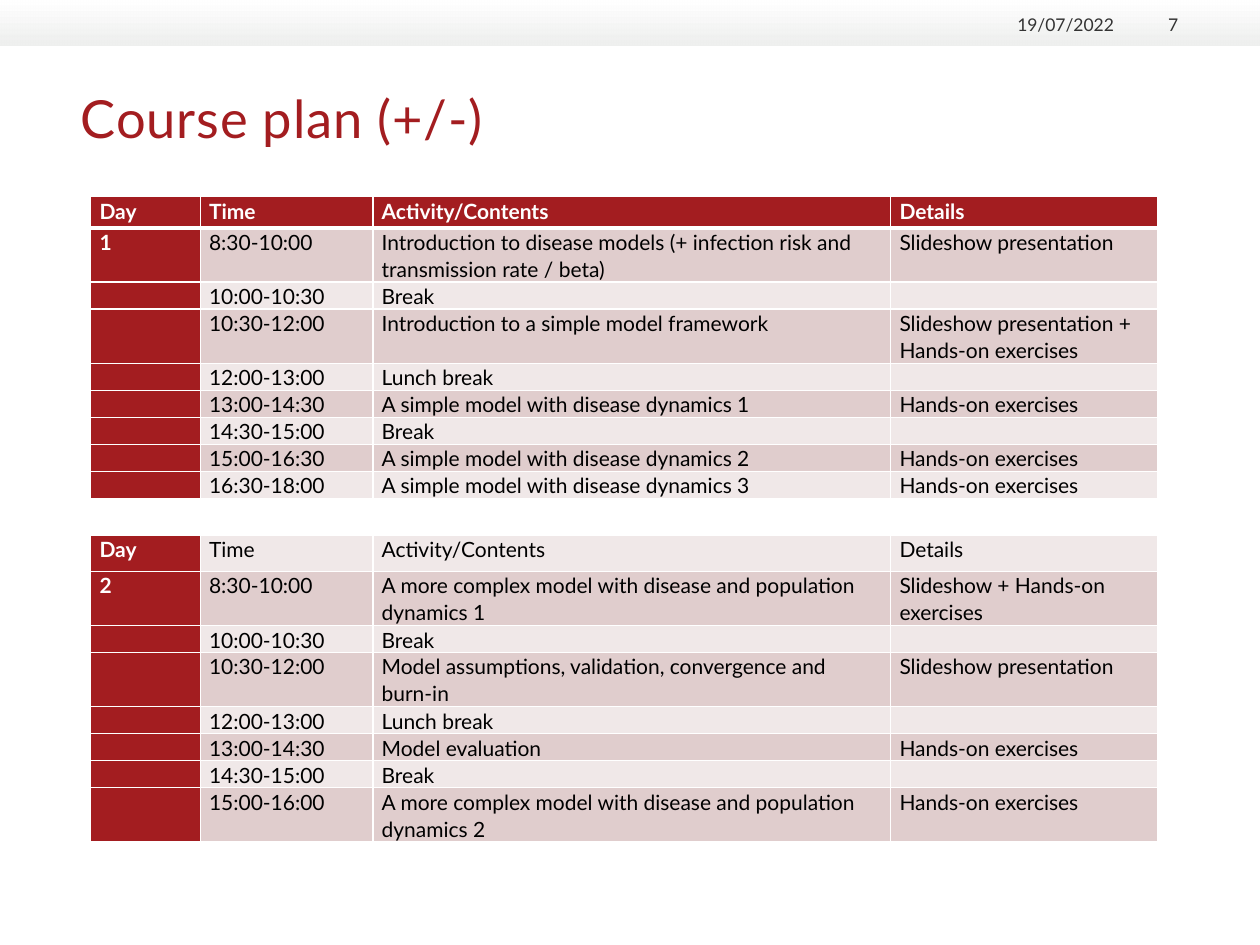
from dataclasses import dataclass

import lxml.etree
import pptx
import pptx.dml.color
import pptx.enum.shapes
import pptx.enum.text
import pptx.oxml.ns
import pptx.util

Inches = pptx.util.Inches
Pt = pptx.util.Pt
qn = pptx.oxml.ns.qn
Align = pptx.enum.text.PP_ALIGN
Anchor = pptx.enum.text.MSO_ANCHOR

FONT = "Lato"
RED, WHITE, BLACK, GREY = "A31D20", "FFFFFF", "000000", "333333"
BANDS = ("F0E8E8", "E0CDCD")
ONE_LINE, TWO_LINES = 0.21, 0.43
COLUMN_WIDTHS = (0.87, 1.37, 4.11, 2.12)


@dataclass
class Session:
    day: str = ""
    time: str = ""
    activity: str = ""
    details: str = ""
    height: float = ONE_LINE


@dataclass
class Label:
    text: str
    left: float
    top: float
    width: float
    height: float
    size: float = 10
    color: str = GREY
    align: Align = Align.RIGHT
    anchor: Anchor = Anchor.BOTTOM
    spacing: float = 0


HEADINGS = ("Day", "Time", "Activity/Contents", "Details")
HANDS_ON = "Hands-on exercises"
SLIDES = "Slideshow presentation"

SESSIONS = (
    Session(*HEADINGS, height=0.25),
    Session("1", "8:30-10:00",
            "Introduction to disease models (+ infection risk and transmission rate / beta)",
            SLIDES, TWO_LINES),
    Session("", "10:00-10:30", "Break"),
    Session("", "10:30-12:00", "Introduction to a simple model framework",
            f"{SLIDES} + {HANDS_ON}", TWO_LINES),
    Session("", "12:00-13:00", "Lunch break"),
    Session("", "13:00-14:30", "A simple model with disease dynamics 1", HANDS_ON),
    Session("", "14:30-15:00", "Break"),
    Session("", "15:00-16:30", "A simple model with disease dynamics 2", HANDS_ON),
    Session("", "16:30-18:00", "A simple model with disease dynamics 3", HANDS_ON),
    Session(height=0.29),
    Session(*HEADINGS, height=0.29),
    Session("2", "8:30-10:00", "A more complex model with disease and population dynamics 1",
            f"Slideshow + {HANDS_ON}", TWO_LINES),
    Session("", "10:00-10:30", "Break"),
    Session("", "10:30-12:00", "Model assumptions, validation, convergence and burn-in",
            SLIDES, TWO_LINES),
    Session("", "12:00-13:00", "Lunch break"),
    Session("", "13:00-14:30", "Model evaluation", HANDS_ON),
    Session("", "14:30-15:00", "Break"),
    Session("", "15:00-16:00", "A more complex model with disease and population dynamics 2",
            HANDS_ON, TWO_LINES),
)

LABELS = (
    Label("Course plan (+/-)", 0.64, 0.68, 8.71, 0.95, size=30, color=RED,
          align=Align.LEFT, anchor=Anchor.TOP, spacing=0.5),
    Label("19/07/2022", 7.95, 0.09, 0.89, 0.19),
    Label("7", 8.94, 0.09, 0.41, 0.19),
)


def rgb(color: str) -> pptx.dml.color.RGBColor:
    return pptx.dml.color.RGBColor.from_string(color)


def write_text(para, text: str, *, size: float, color: str, bold: bool = False,
               spacing: float = 0) -> None:
    if not text:
        lxml.etree.SubElement(para._p, qn("a:endParaRPr"), sz=str(int(size * 100)))
        return
    span = para.add_run()
    span.text = text
    span.font.name = FONT
    span.font.size = Pt(size)
    span.font.bold = bold
    span.font.color.rgb = rgb(color)
    if spacing:
        span.font._element.set("spc", str(int(spacing * 100)))


def draw_band(page) -> None:
    band = page.shapes.add_shape(pptx.enum.shapes.MSO_SHAPE.RECTANGLE,
                                 0, 0, Inches(10), Inches(0.36))
    band.shadow.inherit = False
    band.line.fill.background()
    band.fill.gradient()
    band.fill.gradient_angle = 270
    for stop, color in zip(band.fill.gradient_stops, (WHITE, "EEEFEE")):
        stop.color.rgb = rgb(color)
    end_color = list(band._element.spPr.iter(qn("a:srgbClr")))[-1]
    lxml.etree.SubElement(end_color, qn("a:alpha"), val="93000")


def draw_label(page, label: Label) -> None:
    box = page.shapes.add_textbox(Inches(label.left), Inches(label.top),
                                  Inches(label.width), Inches(label.height))
    frame = box.text_frame
    frame.word_wrap = True
    frame.vertical_anchor = label.anchor
    frame.margin_left = frame.margin_right = frame.margin_top = frame.margin_bottom = 0
    para = frame.paragraphs[0]
    para.alignment = label.align
    write_text(para, label.text, size=label.size, color=label.color, spacing=label.spacing)


def set_borders(cell, top: float, bottom: float) -> None:
    properties = cell._tc.get_or_add_tcPr()
    for side, width in (("L", 1), ("R", 1), ("T", top), ("B", bottom)):
        line = lxml.etree.SubElement(properties, qn(f"a:ln{side}"), w=str(Pt(width)))
        fill = lxml.etree.SubElement(line, qn("a:solidFill"))
        lxml.etree.SubElement(fill, qn("a:srgbClr"), val=WHITE)


def draw_cell(cell, text: str, row: int, *, fill: str, strong: bool) -> None:
    set_borders(cell, top=3 if row == 1 else 1, bottom=3 if row == 0 else 1)
    cell.fill.solid()
    cell.fill.fore_color.rgb = rgb(fill)
    cell.margin_left = cell.margin_right = Inches(0.07)
    cell.margin_top = cell.margin_bottom = 0
    para = cell.text_frame.paragraphs[0]
    para.line_spacing = 1.07
    para.space_after = Pt(8)
    write_text(para, text, size=12, color=WHITE if strong else BLACK, bold=strong)


def draw_plan(page) -> None:
    frame = page.shapes.add_table(
        len(SESSIONS), len(COLUMN_WIDTHS), Inches(0.72), Inches(1.56),
        Inches(sum(COLUMN_WIDTHS)), Inches(sum(session.height for session in SESSIONS)))
    table = frame.table
    table.first_row = table.horz_banding = False
    for column, width in zip(table.columns, COLUMN_WIDTHS):
        column.width = Inches(width)
    for row, session in enumerate(SESSIONS):
        table.rows[row].height = Inches(session.height)
        texts = (session.day, session.time, session.activity, session.details)
        for column, text in enumerate(texts):
            strong = row == 0 or column == 0
            fill = RED if strong else BANDS[row % 2]
            if not any(texts):
                fill = WHITE
            draw_cell(table.cell(row, column), text, row, fill=fill, strong=strong)


def main() -> None:
    """Build the course plan slide and save it."""
    deck = pptx.Presentation()
    deck.slide_width, deck.slide_height = Inches(10), Inches(7.5)
    page = deck.slides.add_slide(deck.slide_layouts[6])
    draw_band(page)
    for label in LABELS:
        draw_label(page, label)
    draw_plan(page)
    deck.save("out.pptx")


if __name__ == "__main__":
    main()
